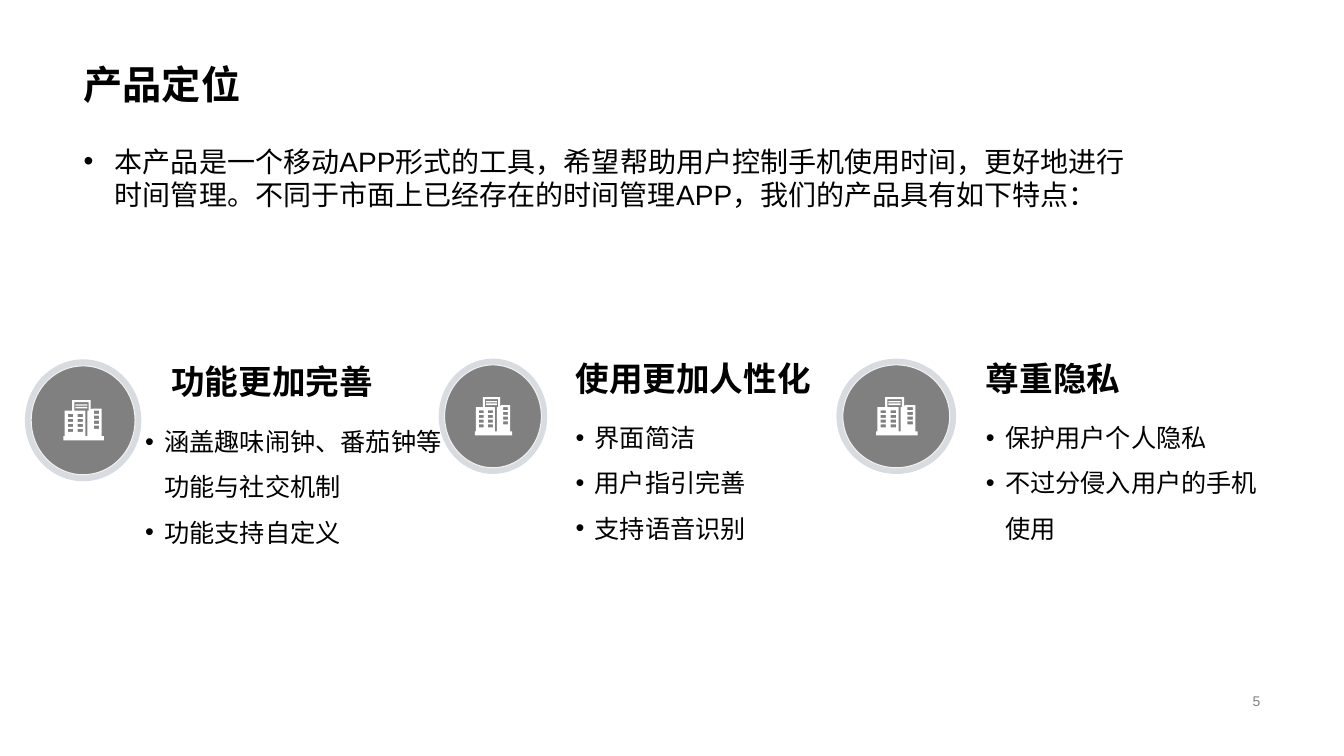
"""Builds the product positioning slide with three feature columns."""
from dataclasses import dataclass

from lxml.etree import SubElement
from pptx import Presentation
from pptx.dml.color import RGBColor
from pptx.enum.shapes import MSO_SHAPE as Shape
from pptx.enum.text import MSO_ANCHOR as Anchor, MSO_AUTO_SIZE as AutoSize, PP_ALIGN as Align
from pptx.oxml.ns import qn
from pptx.util import Inches, Pt


@dataclass(frozen=True)
class Theme:
    font: str = "Arial"
    ink: str = "000000"
    grey: str = "808080"
    rim: str = "F2F2F2"
    halo: str = "34485E"
    white: str = "FFFFFF"
    title: int = 28
    heading: int = 24
    intro: int = 20
    item: int = 18
    number: int = 10


theme = Theme()


def write(box, text, size, color=theme.ink, bold=False, align=Align.LEFT,
          anchor=Anchor.TOP, spacing=1.0, indent=0):
    """Fill a box with one paragraph per line of text."""
    frame = box.text_frame
    frame.word_wrap = True
    frame.auto_size = AutoSize.NONE
    frame.vertical_anchor = anchor
    for index, line in enumerate(text.split("\n")):
        para = frame.add_paragraph() if index else frame.paragraphs[0]
        para.alignment = align
        para.line_spacing = spacing
        para.space_before = Pt(0)
        if indent:
            props = para._p.get_or_add_pPr()
            props.set("marL", str(Inches(indent)))
            props.set("indent", str(-Inches(indent)))
            SubElement(props, qn("a:buFont"), typeface=theme.font)
            SubElement(props, qn("a:buChar"), char="•")
        span = para.add_run()
        span.text = line
        span.font.name = theme.font
        span.font.size = Pt(size)
        span.font.bold = bold
        span.font.color.rgb = RGBColor.from_string(color)


def place(box, left, top, width, height):
    """Move and size a box in inches."""
    box.left, box.top = Inches(left), Inches(top)
    box.width, box.height = Inches(width), Inches(height)


deck = Presentation()
deck.slide_width, deck.slide_height = Inches(13.33), Inches(7.5)
page = deck.slides.add_slide(deck.slide_layouts[1])
shapes = page.shapes

title, intro = page.placeholders
place(title, 0.73, 0, 11.87, 1.12)
write(title, "产品定位", theme.title, bold=True, anchor=Anchor.BOTTOM, spacing=0.9)
place(intro, 0.73, 1.38, 10.64, 0.77)
write(intro, "本产品是一个移动APP形式的工具，希望帮助用户控制手机使用时间，更好地进行时间管理。"
      "不同于市面上已经存在的时间管理APP，我们的产品具有如下特点：", theme.intro, indent=0.31)

number = shapes.add_textbox(Inches(9.42), Inches(6.84), Inches(3.18), Inches(0.23))
write(number, "5", theme.number, color=theme.grey, align=Align.RIGHT, anchor=Anchor.MIDDLE)

icon_width, icon_height = 370, 380
walls = [(0, 380), (0, 340), (10, 340), (10, 100), (80, 100), (80, 0), (250, 0), (250, 90),
         (260, 80), (350, 80), (350, 340), (370, 340), (370, 380)]
tower = [(100, 20), (100, 100), (200, 100), (200, 340), (220, 340), (220, 100),
         (230, 100), (230, 20)]
panes = [(110, 40, 110, 13), (110, 63, 110, 15)]
for row in range(4):
    for left, top in ((40, 130), (130, 130), (280, 100)):
        panes.append((left, top + row * 47, 48, 29))
outlines = [walls, tower] + [
    [(left, top), (left, top + height), (left + width, top + height), (left + width, top)]
    for left, top, width, height in panes]

columns = [
    ((0.31, 3.63, 1.03, 1.08), (0.63, 3.97, 0.40, 0.40),
     (1.60, 3.46, 2.95, 0.57), (1.34, 4.03, 3.21, 1.12),
     "功能更加完善", "涵盖趣味闹钟、番茄钟等功能与社交机制\n功能支持自定义"),
    ((4.41, 3.62, 0.96, 1.02), (4.71, 3.94, 0.37, 0.38),
     (5.61, 3.46, 2.75, 0.54), (5.61, 3.99, 2.75, 1.05),
     "使用更加人性化", "界面简洁\n用户指引完善\n支持语音识别"),
    ((8.36, 3.62, 1.06, 1.02), (8.69, 3.94, 0.41, 0.38),
     (9.68, 3.46, 3.02, 0.54), (9.68, 3.99, 3.02, 1.05),
     "尊重隐私", "保护用户个人隐私\n不过分侵入用户的手机使用"),
]
for disc_area, icon_area, heading_area, list_area, heading, items in columns:
    disc = shapes.add_shape(Shape.OVAL, *map(Inches, disc_area))
    disc.fill.solid()
    disc.fill.fore_color.rgb = RGBColor.from_string(theme.grey)
    disc.line.color.rgb = RGBColor.from_string(theme.rim)
    disc.line.width = Pt(0.75)
    disc.shadow.inherit = False
    effects = disc._element.spPr.find(qn("a:effectLst"))
    shadow = SubElement(effects, qn("a:outerShdw"), sx="111000", sy="111000",
                        algn="ctr", rotWithShape="0")
    tint = SubElement(shadow, qn("a:srgbClr"), val=theme.halo)
    SubElement(tint, qn("a:alpha"), val="19000")

    left, top, width, height = map(Inches, icon_area)
    builder = shapes.build_freeform(*outlines[0][0],
                                    scale=(width / icon_width, height / icon_height))
    builder.add_line_segments(outlines[0][1:], close=True)
    for outline in outlines[1:]:
        builder.move_to(*outline[0])
        builder.add_line_segments(outline[1:], close=True)
    building = builder.convert_to_shape(left, top)
    building.fill.solid()
    building.fill.fore_color.rgb = RGBColor.from_string(theme.white)
    building.line.fill.background()
    building.shadow.inherit = False

    write(shapes.add_textbox(*map(Inches, heading_area)), heading, theme.heading,
          bold=True, anchor=Anchor.BOTTOM)
    write(shapes.add_textbox(*map(Inches, list_area)), items, theme.item,
          spacing=1.5, indent=0.19)

deck.save("out.pptx")
